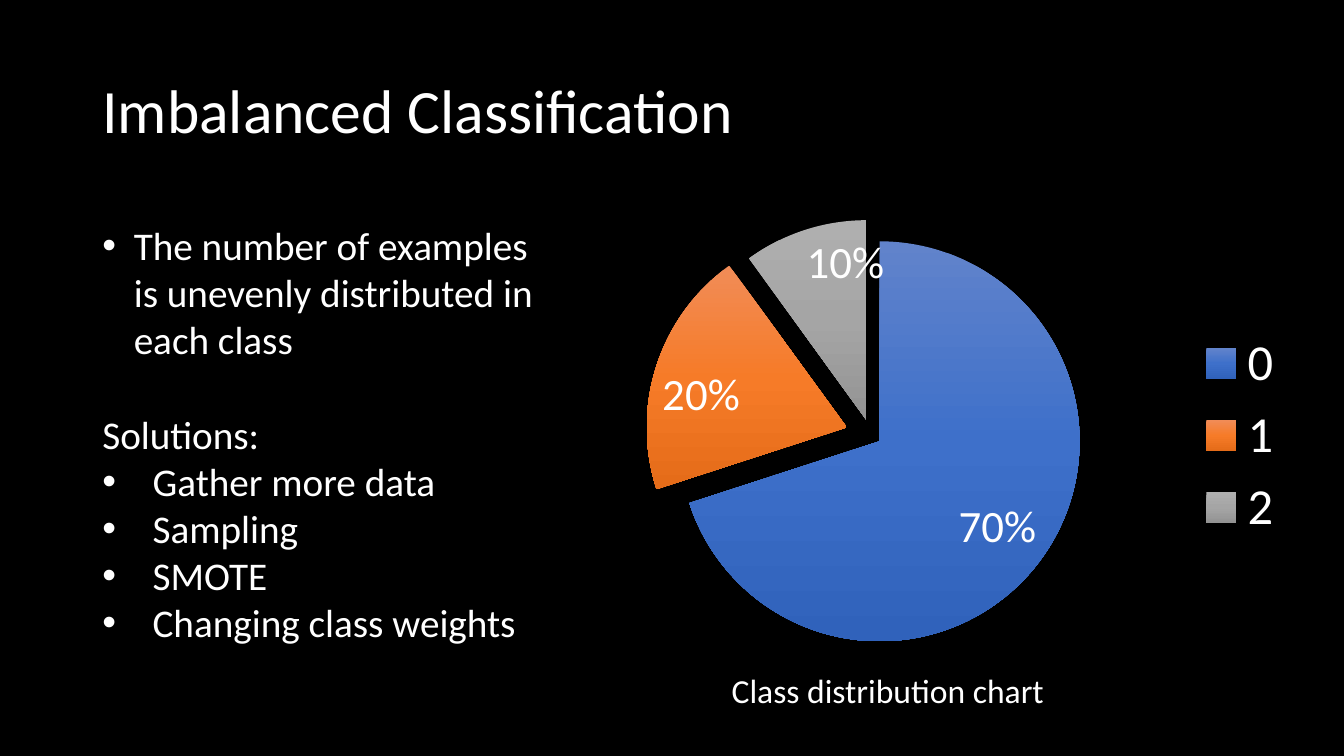
"""Build the Imbalanced Classification slide with its class distribution pie."""
from copy import deepcopy

from lxml import etree
from pptx import Presentation
from pptx.chart.data import CategoryChartData
from pptx.dml.color import RGBColor
from pptx.enum import chart as ch, text
from pptx.oxml.ns import qn
from pptx.util import Pt

FONT, WHITE, BLACK = "Calibri", "FFFFFF", "000000"
TITLE = "Imbalanced Classification"
TITLE_BOX = (66, 29, 828, 104.4)
BODY_BOX = (66, 154.8, 329, 312.5)
CHART_BOX = (395.3, 139.7, 532, 342.7)
CAPTION_BOX = (515.5, 475.2, 252, 36)
CAPTION = "Class distribution chart"
LINE_GAP = 34
BODY = [
    ("The number of examples is unevenly distributed in each class", 22.5, 0),
    ("Solutions:", 0, LINE_GAP),
    ("Gather more data", 36, 0),
    ("Sampling", 36, 0),
    ("SMOTE", 36, 0),
    ("Changing class weights", 36, 0),
]
CLASSES = [
    ("0", 70, 5, ("6183CB", "3E70CA", "3062BB")),
    ("1", 20, 13, ("F18C57", "F67B28", "E56C19")),
    ("2", 10, 8, ("AFAFAF", "A5A5A5", "939393")),
]


def rgb(value):
    return RGBColor.from_string(value)


def set_font(font, size):
    for name, value in {"name": FONT, "size": Pt(size), "bold": False}.items():
        setattr(font, name, value)
    font.color.rgb = rgb(WHITE)


def add_text(s, box, lines, size):
    tf = s.shapes.add_textbox(*map(Pt, box)).text_frame
    tf.word_wrap = True
    for i, (line, indent, before) in enumerate(lines):
        p = tf.paragraphs[0] if i == 0 else tf.add_paragraph()
        p.space_before = Pt(before)
        if indent:
            pPr = p._p.get_or_add_pPr()
            pPr.set("marL", str(Pt(indent)))
            pPr.set("indent", str(-Pt(indent)))
            etree.SubElement(pPr, qn("a:buFont")).set("typeface", "Arial")
            etree.SubElement(pPr, qn("a:buChar")).set("char", "•")
        r = p.add_run()
        r.text = line
        set_font(r.font, size)


def add_pie(s):
    data = CategoryChartData()
    data.categories = [c[0] for c in CLASSES]
    data.add_series("Series 1", [c[1] for c in CLASSES])
    chart = s.shapes.add_chart(ch.XL_CHART_TYPE.PIE, *map(Pt, CHART_BOX), data).chart
    set_font(chart.font, 10)
    chart.has_title = False
    chart.has_legend = True
    chart.legend.position = ch.XL_LEGEND_POSITION.RIGHT
    chart.legend.include_in_layout = False
    set_font(chart.legend.font, 36)
    plot = chart.plots[0]
    plot.vary_by_categories = True
    series = plot.series[0]
    for i, (_, _, explosion, colors) in enumerate(CLASSES):
        point = series.points[i]
        fill = point.format.fill
        fill.gradient()
        fill.gradient_angle = 270
        dPt = series._element.findall(qn("c:dPt"))[i]
        stops = next(dPt.iter(qn("a:gsLst")))
        stops.append(deepcopy(stops[0]))
        for stop, position, color in zip(fill.gradient_stops, (0, 0.5, 1), colors):
            stop.position = position
            stop.color.rgb = rgb(color)
        point.format.line.fill.background()
        offset = etree.Element(qn("c:explosion"))
        offset.set("val", str(explosion))
        dPt.find(qn("c:spPr")).addprevious(offset)
    plot.has_data_labels = True
    labels = plot.data_labels
    for name, value in {"show_percentage": True, "show_value": False,
                        "number_format": "0%", "number_format_is_linked": False,
                        "position": ch.XL_LABEL_POSITION.INSIDE_END}.items():
        setattr(labels, name, value)
    set_font(labels.font, 32)


def main():
    prs = Presentation()
    prs.slide_width, prs.slide_height = Pt(960), Pt(540)
    s = prs.slides.add_slide(prs.slide_layouts[5])
    s.background.fill.solid()
    s.background.fill.fore_color.rgb = rgb(BLACK)
    title = s.shapes.title
    title.left, title.top, title.width, title.height = map(Pt, TITLE_BOX)
    title.text_frame.text = TITLE
    title.text_frame.vertical_anchor = text.MSO_ANCHOR.MIDDLE
    p = title.text_frame.paragraphs[0]
    p.alignment, p.line_spacing = text.PP_ALIGN.LEFT, 0.9
    set_font(p.runs[0].font, 44)
    add_pie(s)
    add_text(s, BODY_BOX, BODY, 28)
    add_text(s, CAPTION_BOX, [(CAPTION, 0, 0)], 24)
    prs.save("out.pptx")


if __name__ == "__main__":
    main()
